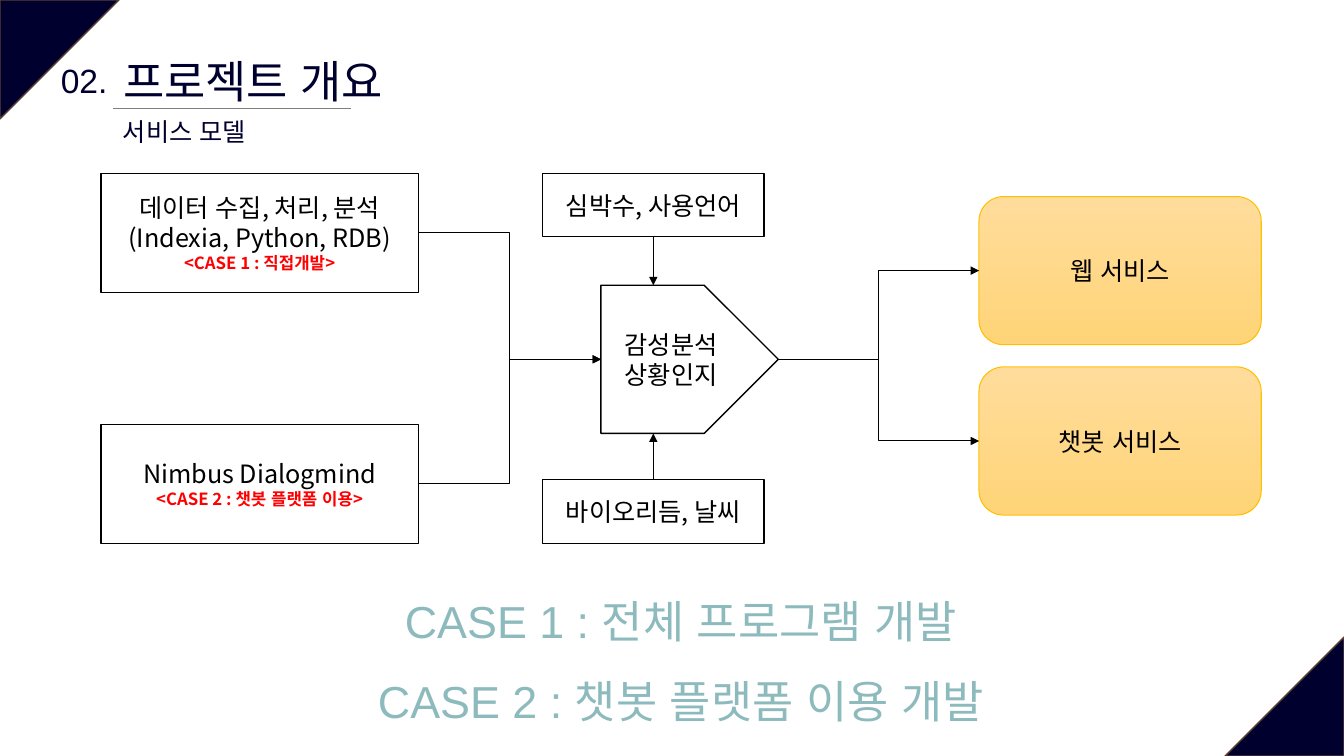
from lxml.etree import SubElement
from pptx import Presentation
from pptx.dml.color import RGBColor
from pptx.enum.lang import MSO_LANGUAGE_ID as Language
from pptx.enum.shapes import MSO_CONNECTOR as Connector, MSO_SHAPE as Shape
from pptx.enum.text import MSO_ANCHOR as Anchor, MSO_AUTO_SIZE as AutoSize, PP_ALIGN as Align
from pptx.oxml.ns import qn
from pptx.util import Inches, Pt

NAVY = RGBColor(0x00, 0x00, 0x2F)
BROWN = RGBColor(0x5B, 0x3F, 0x33)
GRAY = RGBColor(0x7F, 0x7F, 0x7F)
BLACK = RGBColor(0x00, 0x00, 0x00)
RED = RGBColor(0xFF, 0x00, 0x00)
TEAL = RGBColor(0x8D, 0xBA, 0xBD)
GOLD = RGBColor(0xFF, 0xC0, 0x00)
GOLD_STOPS = (RGBColor(0xFF, 0xDC, 0x9B), RGBColor(0xFF, 0xD4, 0x78))
KOREAN_FONT = "Noto Sans CJK KR"

HEADING = {"name": "Arial", "size": Pt(32), "color": NAVY}
NUMBER = {**HEADING, "size": Pt(24)}
SUBTITLE = {**HEADING, "size": Pt(18)}
SUMMARY = {**HEADING, "color": TEAL}
BODY = {"name": KOREAN_FONT, "size": Pt(18), "color": BLACK}
CASE = {**BODY, "size": Pt(12), "color": RED, "bold": True}

TITLE = ("프로젝트 개요", (1.12, 0.48, 5.54, 0.64))
CAPTIONS = [
    (["02."], (0.5, 0.55, 0.67, 0.5), NUMBER, Align.CENTER, 1),
    (["서비스 모델"], (1.12, 1.1, 5.54, 0.42), SUBTITLE, Align.LEFT, 1),
    (["CASE 1 : 전체 프로그램 개발", "CASE 2 : 챗봇 플랫폼 이용 개발"],
     (1, 5.57, 11.51, 1.64), SUMMARY, Align.CENTER, 1.5),
]
CORNERS = [(0, 0, 90), (12.15, 6.32, 270)]
CORNER_SIZE = 1.18
NODES = {
    "direct": (Shape.RECTANGLE, (1, 1.72, 3.15, 1.18),
               [("데이터 수집, 처리, 분석", BODY), ("(Indexia, Python, RDB)", BODY),
                ("<CASE 1 : 직접개발>", CASE)]),
    "platform": (Shape.RECTANGLE, (1, 4.21, 3.15, 1.18),
                 [("Nimbus Dialogmind", BODY), ("<CASE 2 : 챗봇 플랫폼 이용>", CASE)]),
    "analysis": (Shape.PENTAGON, (5.96, 2.83, 1.76, 1.47),
                 [("감성분석", BODY), ("상황인지", BODY)]),
    "web": (Shape.ROUNDED_RECTANGLE, (9.71, 1.95, 2.8, 1.47), [("웹 서비스", BODY)]),
    "chatbot": (Shape.ROUNDED_RECTANGLE, (9.71, 3.64, 2.8, 1.47), [("챗봇 서비스", BODY)]),
    "signals": (Shape.RECTANGLE, (5.38, 1.72, 2.2, 0.63), [("심박수, 사용언어", BODY)]),
    "context": (Shape.RECTANGLE, (5.38, 4.76, 2.2, 0.63), [("바이오리듬, 날씨", BODY)]),
}
FLOWS = [("direct", "analysis"), ("platform", "analysis"),
         ("analysis", "web"), ("analysis", "chatbot")]
TOP, LEFT, BOTTOM, RIGHT = range(4)


def write(frame, lines, align, spacing=1):
    """Fill a text frame with (text, format) lines."""
    frame.word_wrap = True
    for index, (text, style) in enumerate(lines):
        para = frame.paragraphs[0] if index == 0 else frame.add_paragraph()
        para.alignment, para.line_spacing = align, spacing
        span = para.add_run()
        span.text = text
        for key, value in style.items():
            if key == "color":
                span.font.color.rgb = value
            else:
                setattr(span.font, key, value)
        span.font.language_id = Language.KOREAN
        SubElement(span.font._element, qn("a:ea"), typeface=KOREAN_FONT)


def outline(item, color, width):
    """Set the colour and the width of a line."""
    item.line.color.rgb = color
    item.line.width = Pt(width)


def add_line(page, kind, begin, end, color=BLACK, arrow=True):
    """Draw a connector between two points."""
    line = page.shapes.add_connector(kind, *begin, *end)
    outline(line, color, 0.75)
    SubElement(line._element.spPr, qn("a:effectLst"))
    if arrow:
        SubElement(line.line._get_or_add_ln(), qn("a:tailEnd"), type="triangle")
    return line


def add_node(page, kind, place, lines):
    """Draw one box of the service model."""
    box = page.shapes.add_shape(kind, *map(Inches, place))
    box.shadow.inherit = False
    if kind == Shape.ROUNDED_RECTANGLE:
        box.fill.gradient()
        box.fill.gradient_angle = 270
        for stop, color in zip(box.fill.gradient_stops, GOLD_STOPS):
            stop.color.rgb = color
        outline(box, GOLD, 0.75)
    else:
        box.fill.background()
        outline(box, BLACK, 1)
    box.text_frame.vertical_anchor = Anchor.MIDDLE
    write(box.text_frame, lines, Align.CENTER)
    return box


def main():
    """Build the service model slide."""
    deck = Presentation()
    deck.slide_width, deck.slide_height = Inches(13.33), Inches(7.5)
    page = deck.slides.add_slide(deck.slide_layouts[5])

    for left, top, turn in CORNERS:
        corner = page.shapes.add_shape(Shape.ISOSCELES_TRIANGLE, Inches(left), Inches(top),
                                       Inches(CORNER_SIZE), Inches(CORNER_SIZE))
        corner.adjustments[0] = 0
        corner.rotation = turn
        corner.shadow.inherit = False
        corner.fill.solid()
        corner.fill.fore_color.rgb = NAVY
        outline(corner, BROWN, 1)

    text, place = TITLE
    title = page.shapes.title
    title.left, title.top, title.width, title.height = map(Inches, place)
    title.text_frame.vertical_anchor = Anchor.TOP
    title.text_frame.auto_size = AutoSize.SHAPE_TO_FIT_TEXT
    write(title.text_frame, [(text, HEADING)], Align.LEFT)
    add_line(page, Connector.STRAIGHT, (Inches(1.12), Inches(1.08)),
             (Inches(3.48), Inches(1.08)), GRAY, arrow=False)

    for texts, place, style, align, spacing in CAPTIONS:
        box = page.shapes.add_textbox(*map(Inches, place))
        box.text_frame.auto_size = AutoSize.SHAPE_TO_FIT_TEXT
        write(box.text_frame, [(text, style) for text in texts], align, spacing)

    nodes = {name: add_node(page, *node) for name, node in NODES.items()}
    for source, target in FLOWS:
        begin, end = nodes[source], nodes[target]
        flow = add_line(page, Connector.ELBOW,
                        (begin.left + begin.width, begin.top + begin.height // 2),
                        (end.left, end.top + end.height // 2))
        flow.begin_connect(begin, RIGHT)
        flow.end_connect(end, LEFT)

    analysis = nodes["analysis"]
    for name, side, goal in (("signals", BOTTOM, analysis.top),
                             ("context", TOP, analysis.top + analysis.height)):
        box = nodes[name]
        middle = box.left + box.width // 2
        edge = box.top + (box.height if side == BOTTOM else 0)
        feed = add_line(page, Connector.STRAIGHT, (middle, edge), (middle, goal))
        feed.begin_connect(box, side)

    deck.save("out.pptx")


if __name__ == "__main__":
    main()
